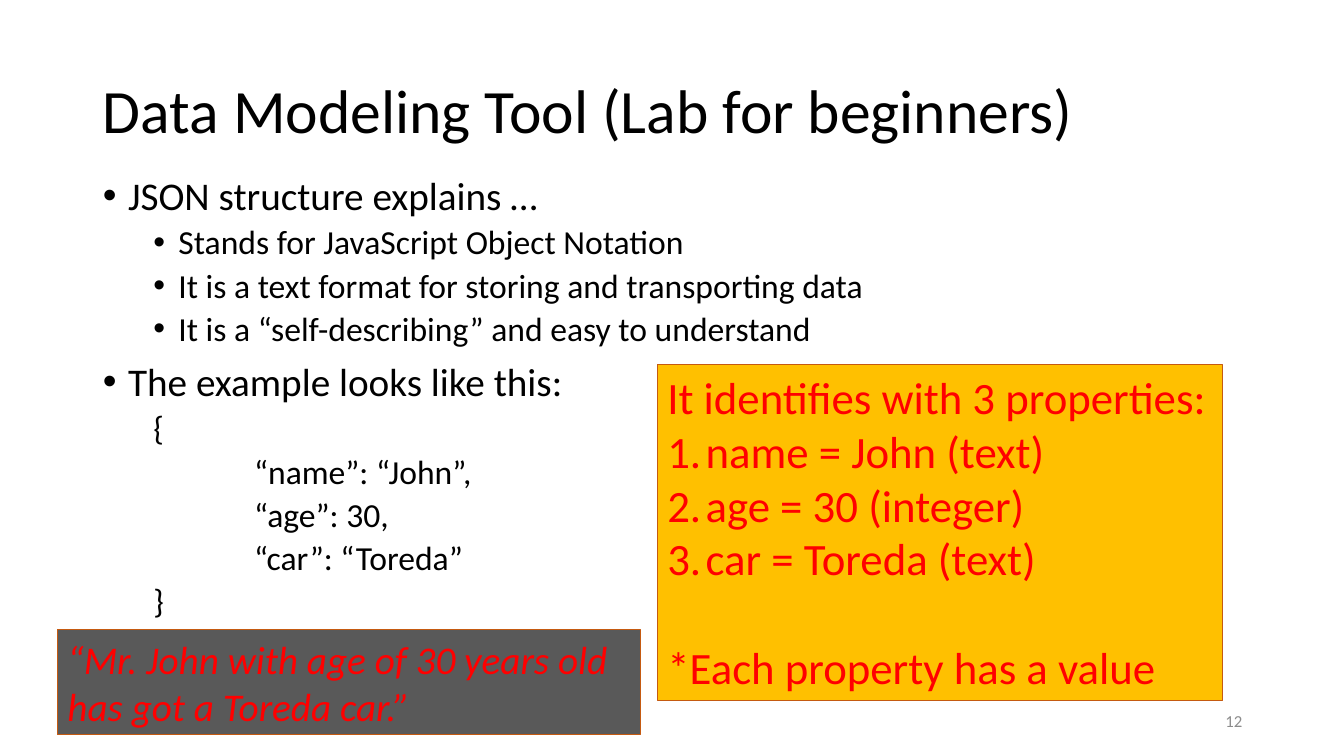
from lxml import etree
from pptx import Presentation
from pptx.dml.color import RGBColor
from pptx.enum import shapes, text
from pptx.oxml import ns
from pptx.util import Inches, Pt

FONT = "Calibri"
BLACK, GREY, RED = "000000", "8C8C8C", "FF0000"
AMBER, CHARCOAL, RUST = "FFC000", "595959", "C55A11"

TOPIC = dict(size=28, level=0, indent=0.25, hanging=0.25, before=10, bullet="•")
POINT = dict(size=24, level=1, indent=0.75, hanging=0.25, before=5, bullet="•")
BRACE = dict(size=24, level=1, indent=0.5, before=5)
FIELD = dict(BRACE, indent=1.5)

BODY = [
    ("JSON structure explains …", TOPIC),
    ("Stands for JavaScript Object Notation", POINT),
    ("It is a text format for storing and transporting data", POINT),
    ("It is a “self-describing” and easy to understand", POINT),
    ("The example looks like this:", TOPIC),
    ("{", BRACE),
    ("“name”: “John”,", FIELD),
    ("“age”: 30,", FIELD),
    ("“car”: “Toreda”", FIELD),
    ("}", BRACE),
]

PLAIN = dict(size=32, color=RED, spacing=1)
NUMBERED = dict(PLAIN, indent=0.38, hanging=0.38, number="arabicPeriod")
PROPERTIES = [
    ("It identifies with 3 properties:", PLAIN),
    ("name = John (text)", NUMBERED),
    ("age = 30 (integer)", NUMBERED),
    ("car = Toreda (text)", NUMBERED),
    ("*Each property has a value", dict(PLAIN, before=39)),
]
SENTENCE = [
    ("“Mr. John with age of 30 years old has got a Toreda car.”",
     dict(size=28, color=RED, italic=True, spacing=1)),
]


def rgb(value):
    return RGBColor.from_string(value)


def set_attributes(target, values):
    for name, value in values.items():
        setattr(target, name, value)


def place(shape, left, top, width, height):
    set_attributes(shape, dict(left=Inches(left), top=Inches(top),
                               width=Inches(width), height=Inches(height)))


def set_list_mark(paragraph, indent, hanging, bullet, number):
    """Set the indents and the bullet or automatic number of a paragraph."""
    properties = paragraph._p.get_or_add_pPr()
    properties.set("marL", str(Inches(indent)))
    properties.set("indent", str(-Inches(hanging)))
    if bullet:
        etree.SubElement(properties, ns.qn("a:buFont"), typeface="Arial")
        etree.SubElement(properties, ns.qn("a:buChar"), char=bullet)
    elif number:
        etree.SubElement(properties, ns.qn("a:buFont"), typeface="+mj-lt")
        etree.SubElement(properties, ns.qn("a:buAutoNum"), type=number)
    else:
        etree.SubElement(properties, ns.qn("a:buNone"))


def format_paragraph(paragraph, wording, size, color=BLACK, italic=False,
                     level=0, indent=0, hanging=0, before=0, spacing=0.9,
                     bullet=None, number=None, align=text.PP_ALIGN.LEFT):
    set_attributes(paragraph, dict(level=level, alignment=align,
                                   line_spacing=spacing,
                                   space_before=Pt(before), space_after=Pt(0)))
    set_list_mark(paragraph, indent, hanging, bullet, number)
    run = paragraph.add_run()
    run.text = wording
    set_attributes(run.font, dict(name=FONT, size=Pt(size), italic=italic))
    run.font.color.rgb = rgb(color)


def write(shape, lines, **frame_format):
    frame = shape.text_frame
    values = dict(word_wrap=True, auto_size=text.MSO_AUTO_SIZE.NONE,
                  vertical_anchor=text.MSO_ANCHOR.TOP)
    set_attributes(frame, {**values, **frame_format})
    for index, (wording, style) in enumerate(lines):
        paragraph = frame.add_paragraph() if index else frame.paragraphs[0]
        format_paragraph(paragraph, wording, **style)


def add_callout(slide, position, fill, lines, wrap):
    callout = slide.shapes.add_shape(shapes.MSO_SHAPE.RECTANGLE,
                                     *map(Inches, position))
    callout.shadow.inherit = False
    callout.fill.solid()
    callout.fill.fore_color.rgb = rgb(fill)
    callout.line.color.rgb = rgb(RUST)
    callout.line.width = Pt(0.75)
    write(callout, lines, word_wrap=wrap,
          auto_size=text.MSO_AUTO_SIZE.SHAPE_TO_FIT_TEXT)


def add_page_number(slide, number):
    box = slide.shapes.add_textbox(*map(Inches, (9.42, 6.95, 3, 0.4)))
    style = dict(size=12, color=GREY, spacing=1, align=text.PP_ALIGN.RIGHT)
    write(box, [(number, style)], vertical_anchor=text.MSO_ANCHOR.MIDDLE)


def main():
    presentation = Presentation()
    set_attributes(presentation, dict(slide_width=Inches(13.33),
                                      slide_height=Inches(7.5)))
    slide = presentation.slides.add_slide(presentation.slide_layouts[1])

    title, body = slide.placeholders
    place(title, 0.92, 0.4, 11.5, 1.45)
    write(title, [("Data Modeling Tool (Lab for beginners)", dict(size=44))],
          vertical_anchor=text.MSO_ANCHOR.MIDDLE)
    place(body, 0.92, 1.7, 11.5, 4.76)
    write(body, BODY)

    add_page_number(slide, "12")
    add_callout(slide, (6.52, 3.62, 5.61, 3.33), AMBER, PROPERTIES, wrap=False)
    add_callout(slide, (0.57, 6.25, 5.78, 1.04), CHARCOAL, SENTENCE, wrap=True)
    presentation.save("out.pptx")


if __name__ == "__main__":
    main()
